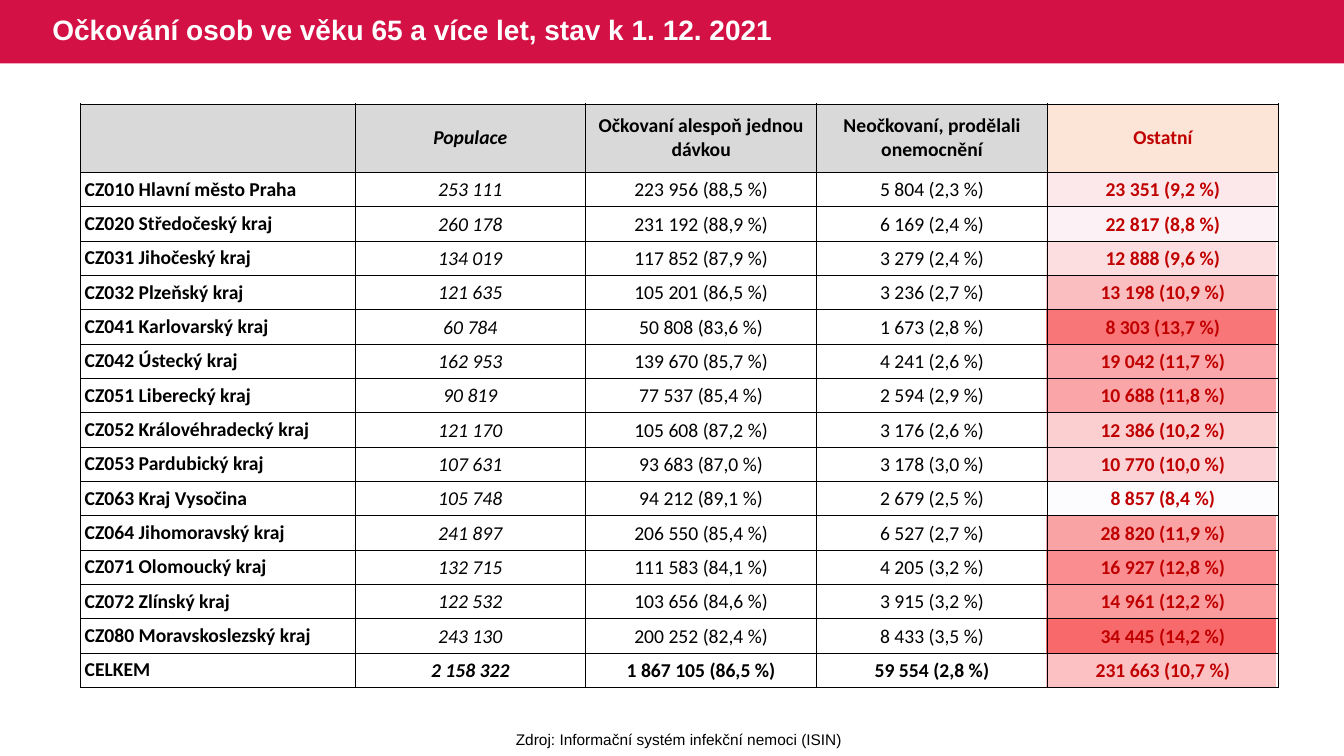
from math import ceil

from lxml import etree
from pptx import Presentation
from pptx.dml.color import RGBColor
from pptx.enum.shapes import MSO_SHAPE
from pptx.enum.text import MSO_ANCHOR, MSO_AUTO_SIZE, PP_ALIGN
from pptx.oxml.ns import qn
from pptx.util import Inches, Pt

RECT = MSO_SHAPE.RECTANGLE
MIDDLE = MSO_ANCHOR.MIDDLE
LEFT, CENTER = PP_ALIGN.LEFT, PP_ALIGN.CENTER
FIT_SHAPE = MSO_AUTO_SIZE.SHAPE_TO_FIT_TEXT

WHITE = RGBColor(0xFF, 0xFF, 0xFF)
BLACK = RGBColor(0, 0, 0)
CRIMSON = RGBColor(0xD3, 0x11, 0x45)
DARK_RED = RGBColor(0xC0, 0, 0)
GREY = RGBColor(0xD9, 0xD9, 0xD9)
PEACH = RGBColor(0xFC, 0xE4, 0xD6)
HEAT_LOW = RGBColor(0xFC, 0xFC, 0xFF)
HEAT_HIGH = RGBColor(0xF8, 0x69, 0x6B)
NO_STYLE = "{2D5ABB26-0587-4C30-8999-92F81FD0307C}"

HEADER = ["", "Populace", "Očkovaní alespoň jednou dávkou",
          "Neočkovaní, prodělali onemocnění", "Ostatní"]
REGIONS = [
    ["CZ010 Hlavní město Praha", "253 111", "223 956 (88,5 %)", "5 804 (2,3 %)", "23 351 (9,2 %)"],
    ["CZ020 Středočeský kraj", "260 178", "231 192 (88,9 %)", "6 169 (2,4 %)", "22 817 (8,8 %)"],
    ["CZ031 Jihočeský kraj", "134 019", "117 852 (87,9 %)", "3 279 (2,4 %)", "12 888 (9,6 %)"],
    ["CZ032 Plzeňský kraj", "121 635", "105 201 (86,5 %)", "3 236 (2,7 %)", "13 198 (10,9 %)"],
    ["CZ041 Karlovarský kraj", "60 784", "50 808 (83,6 %)", "1 673 (2,8 %)", "8 303 (13,7 %)"],
    ["CZ042 Ústecký kraj", "162 953", "139 670 (85,7 %)", "4 241 (2,6 %)", "19 042 (11,7 %)"],
    ["CZ051 Liberecký kraj", "90 819", "77 537 (85,4 %)", "2 594 (2,9 %)", "10 688 (11,8 %)"],
    ["CZ052 Královéhradecký kraj", "121 170", "105 608 (87,2 %)", "3 176 (2,6 %)", "12 386 (10,2 %)"],
    ["CZ053 Pardubický kraj", "107 631", "93 683 (87,0 %)", "3 178 (3,0 %)", "10 770 (10,0 %)"],
    ["CZ063 Kraj Vysočina", "105 748", "94 212 (89,1 %)", "2 679 (2,5 %)", "8 857 (8,4 %)"],
    ["CZ064 Jihomoravský kraj", "241 897", "206 550 (85,4 %)", "6 527 (2,7 %)", "28 820 (11,9 %)"],
    ["CZ071 Olomoucký kraj", "132 715", "111 583 (84,1 %)", "4 205 (3,2 %)", "16 927 (12,8 %)"],
    ["CZ072 Zlínský kraj", "122 532", "103 656 (84,6 %)", "3 915 (3,2 %)", "14 961 (12,2 %)"],
    ["CZ080 Moravskoslezský kraj", "243 130", "200 252 (82,4 %)", "8 433 (3,5 %)", "34 445 (14,2 %)"],
    ["CELKEM", "2 158 322", "1 867 105 (86,5 %)", "59 554 (2,8 %)", "231 663 (10,7 %)"],
]
LAST = len(HEADER) - 1
HEADER_H, BODY_H = 0.68, 5.11
ROW_H = BODY_H / len(REGIONS)
NAME_W, VALUE_W = 2.72, 2.29
TABLE_X, TABLE_Y = 0.8, 1.03


def count(text):
    return int(text.split("(")[0].replace(" ", ""))


def heat_colors():
    shares = [count(row[LAST]) / count(row[1]) for row in REGIONS]
    low, high = min(shares), max(shares)
    scale = [(share - low) / (high - low) for share in shares]
    return [RGBColor(*(ceil(a + (b - a) * t) for a, b in zip(HEAT_LOW, HEAT_HIGH)))
            for t in scale]


class Deck:
    """Draws styled elements on the current slide."""

    def __init__(self, prs):
        self.s = prs.slides.add_slide(prs.slide_layouts[6])

    def font(self, p, name, size, color, bold=False, italic=False):
        f = p.font
        f.name, f.size, f.bold, f.italic = name, Pt(size), bold, italic
        f.color.rgb = color

    def band(self, x, y, w, h, color):
        sp = self.s.shapes.add_shape(RECT, Inches(x), Inches(y), Inches(w), Inches(h))
        sp.shadow.inherit = False
        sp.fill.solid()
        sp.fill.fore_color.rgb = color
        sp.line.fill.background()

    def text(self, text, x, y, w, h, size, color, bold=False, align=LEFT):
        sp = self.s.shapes.add_textbox(Inches(x), Inches(y), Inches(w), Inches(h))
        tf = sp.text_frame
        p = tf.paragraphs[0]
        p.text, p.alignment = text, align
        self.font(p, "Arial", size, color, bold)
        return tf

    def table(self, x, y, widths, heights):
        sp = self.s.shapes.add_table(len(heights), len(widths), Inches(x), Inches(y),
                                     Inches(sum(widths)), Inches(sum(heights)))
        tb = sp.table
        tb.first_row = tb.horz_banding = False
        tb._tbl.tblPr.find(qn("a:tableStyleId")).text = NO_STYLE
        for col, w in zip(tb.columns, widths):
            col.width = Inches(w)
        for row, h in zip(tb.rows, heights):
            row.height = Inches(h)
        return tb

    def cell(self, cell, fill=None, insets=(0, 0, 0, 0)):
        cell.margin_left, cell.margin_top, cell.margin_right, cell.margin_bottom = map(Inches, insets)
        cell.vertical_anchor = MIDDLE
        if fill is None:
            cell.fill.background()
        else:
            cell.fill.solid()
            cell.fill.fore_color.rgb = fill

    def borders(self, cell):
        tcPr = cell._tc.get_or_add_tcPr()
        for side in ("a:lnL", "a:lnR", "a:lnT", "a:lnB"):
            ln = etree.SubElement(tcPr, qn(side), w=str(Pt(0.5)))
            fill = etree.SubElement(ln, qn("a:solidFill"))
            etree.SubElement(fill, qn("a:srgbClr"), val=str(BLACK))

    def heat_table(self):
        tb = self.table(TABLE_X + NAME_W + 3 * VALUE_W - 0.02, TABLE_Y + HEADER_H,
                        [VALUE_W], [ROW_H] * len(REGIONS))
        for i, color in enumerate(heat_colors()):
            self.cell(tb.cell(i, 0), color)

    def region_table(self):
        rows = [HEADER] + REGIONS
        tb = self.table(TABLE_X, TABLE_Y, [NAME_W] + [VALUE_W] * LAST,
                        [HEADER_H] + [ROW_H] * len(REGIONS))
        for i, row in enumerate(rows):
            for j, text in enumerate(row):
                cell = tb.cell(i, j)
                header, last = i == 0, j == LAST
                fill = (PEACH if last else GREY) if header else None
                insets = (0.04, 0, 0.04, 0) if header or j == 0 else (0.01, 0.01, 0.01, 0)
                self.borders(cell)
                self.cell(cell, fill, insets)
                p = cell.text_frame.paragraphs[0]
                p.text = text
                p.alignment = CENTER if j else LEFT
                bold = i in (0, len(REGIONS)) or j in (0, LAST)
                self.font(p, "Calibri", 14, DARK_RED if last else BLACK, bold, j == 1)


def main():
    prs = Presentation()
    prs.slide_width, prs.slide_height = Inches(13.33), Inches(7.5)
    deck = Deck(prs)
    deck.band(0, 0, 13.33, 0.63, CRIMSON)
    deck.heat_table()
    tf = deck.text("Očkování osob ve věku 65 a více let, stav k 1. 12. 2021",
                   0.42, 0, 8.28, 0.63, 20, WHITE, bold=True)
    tf.word_wrap = True
    tf.vertical_anchor = MIDDLE
    tf.paragraphs[0].line_spacing = 0.9
    deck.region_table()
    tf = deck.text("Zdroj: Informační systém infekční nemoci (ISIN)",
                   5.01, 7.19, 3.45, 0.29, 11, BLACK, align=CENTER)
    tf.word_wrap = False
    tf.auto_size = FIT_SHAPE
    prs.save("out.pptx")


if __name__ == "__main__":
    main()
